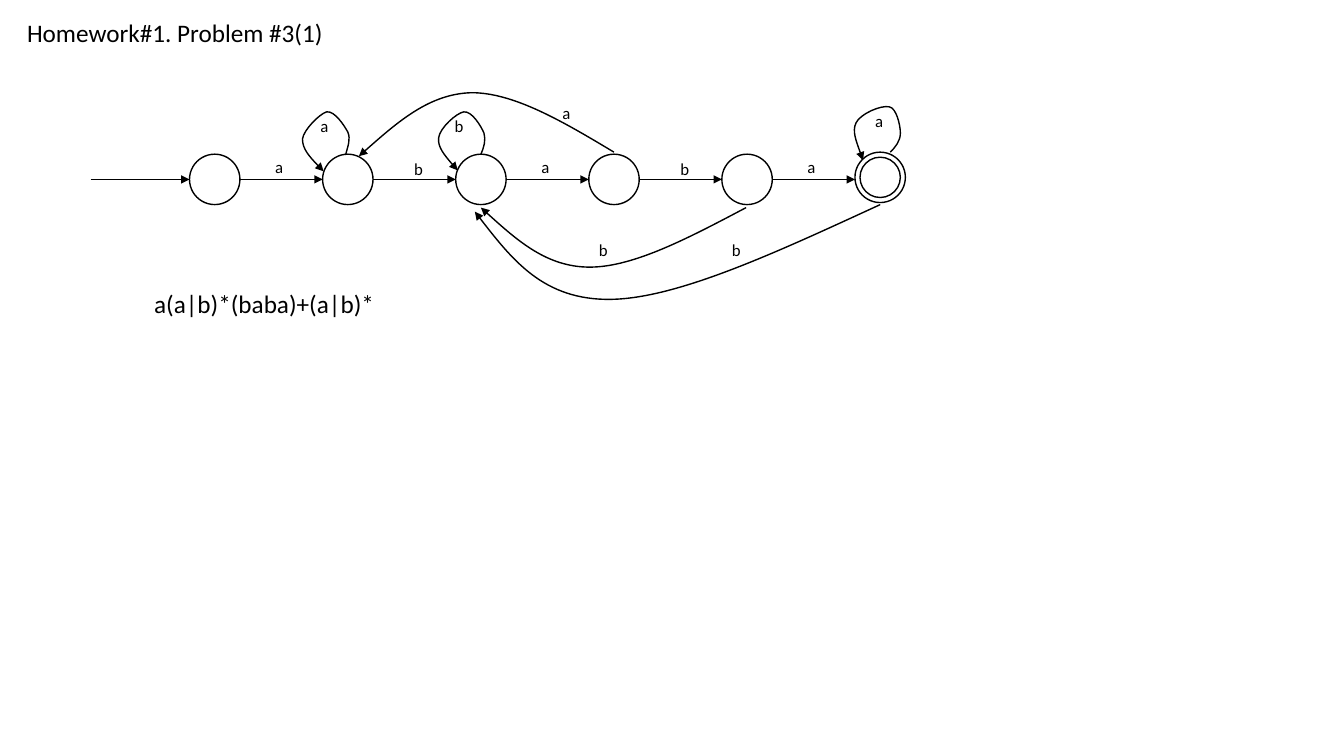
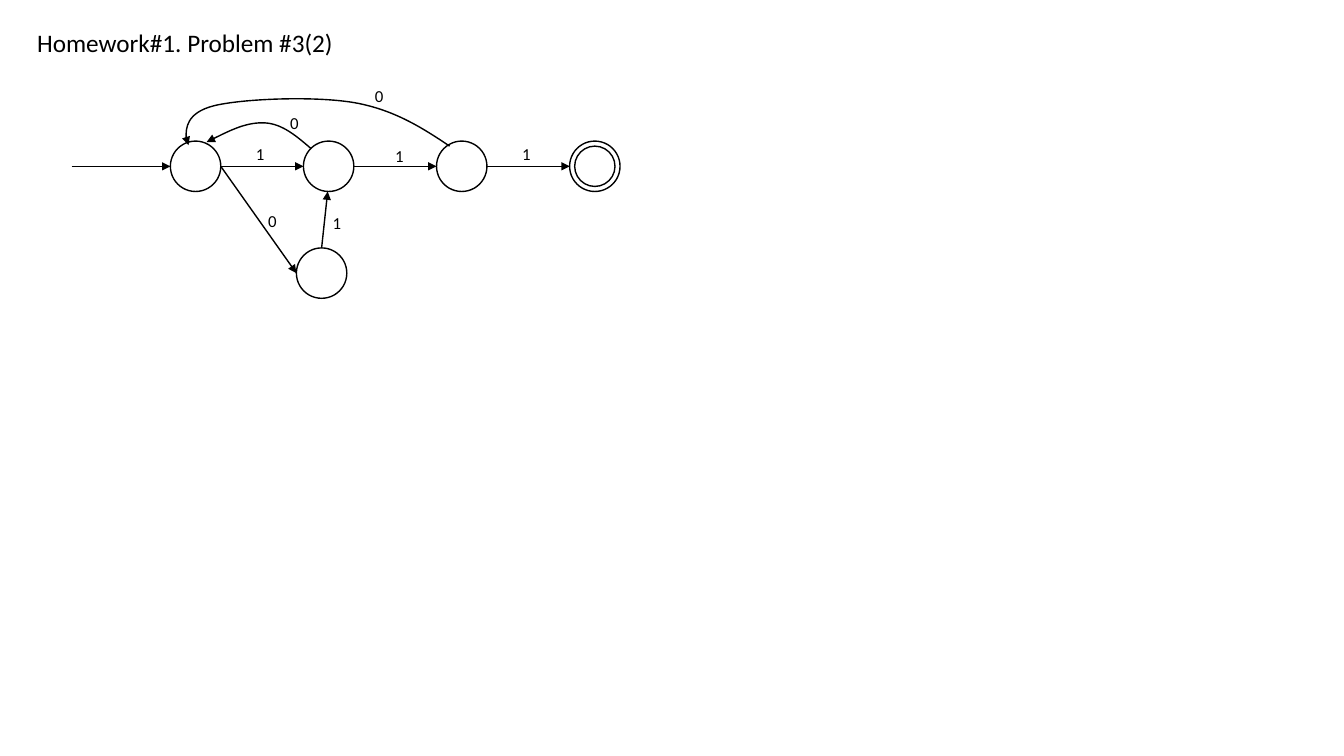
from dataclasses import dataclass

from lxml import etree
from pptx import Presentation
from pptx.dml.color import RGBColor
from pptx.enum.shapes import MSO_CONNECTOR, MSO_SHAPE
from pptx.enum.text import MSO_AUTO_SIZE
from pptx.oxml.ns import qn
from pptx.shapes.connector import Connector
from pptx.shapes.autoshape import Shape
from pptx.shapes.shapetree import GroupShapes
from pptx.slide import Slide
from pptx.util import Inches, Pt

STRAIGHT = MSO_CONNECTOR.STRAIGHT
CIRCLE = MSO_SHAPE.FLOWCHART_CONNECTOR
FIT_SHAPE = MSO_AUTO_SIZE.SHAPE_TO_FIT_TEXT

COLORS = {"ink": "000000"}
FONT = "Calibri"
HEADING_SIZE, LABEL_SIZE = 18, 12
HEADING_HEIGHT, LABEL_HEIGHT, LABEL_WIDTH = 0.4, 0.3, 0.29
STATE_SIZE, STATE_PITCH, RING_INSET = 0.5, 1.32, 0.05
START_LENGTH = 0.98
# Label offsets from the left end of an arrow, used in turn along a chain
LABEL_OFFSETS = ((0.25, -0.27), (0.31, -0.25))

Point = tuple[float, float]


@dataclass(frozen=True)
class Text:
    text: str
    left: float
    top: float
    width: float = LABEL_WIDTH
    height: float = LABEL_HEIGHT
    size: int = LABEL_SIZE


@dataclass(frozen=True)
class Chain:
    left: float
    top: float
    symbols: str
    final_top: float


@dataclass(frozen=True)
class Automaton:
    headings: list[Text]
    chain: Chain
    labels: list[Text]
    curves: list[list[Point]]  # start, then two controls and an end per piece
    extra_states: list[Point]
    extra_arrows: list[tuple[Point, Point]]


def heading(text: str, left: float, top: float, width: float) -> Text:
    return Text(text, left, top, width, HEADING_HEIGHT, HEADING_SIZE)


def style_line(shape: Shape | Connector, arrow: bool = False) -> None:
    shape.line.color.rgb = RGBColor.from_string(COLORS["ink"])
    shape.line.width = Pt(1)
    if arrow:
        outline = shape.line._get_or_add_ln()
        etree.SubElement(outline, qn("a:tailEnd"), type="triangle")


def add_text(slide: Slide, text: str, *, left: float, top: float, width: float,
             height: float, size: int) -> None:
    box = slide.shapes.add_textbox(Inches(left), Inches(top), Inches(width), Inches(height))
    frame = box.text_frame
    frame.word_wrap = False
    frame.auto_size = FIT_SHAPE
    run = frame.paragraphs[0].add_run()
    run.text = text
    run.font.name = FONT
    run.font.size = Pt(size)
    run.font.color.rgb = RGBColor.from_string(COLORS["ink"])


def add_label(slide: Slide, label: Text) -> None:
    add_text(slide, label.text, left=label.left, top=label.top, width=label.width,
             height=label.height, size=label.size)


def add_state(shapes: GroupShapes, left: float, top: float, size: float = STATE_SIZE) -> None:
    state = shapes.add_shape(CIRCLE, Inches(left), Inches(top), Inches(size), Inches(size))
    state.shadow.inherit = False
    state.fill.background()
    style_line(state)


def add_final_state(slide: Slide, left: float, top: float) -> None:
    group = slide.shapes.add_group_shape()
    add_state(group.shapes, left, top)
    add_state(group.shapes, left + RING_INSET, top + RING_INSET, STATE_SIZE - 2 * RING_INSET)


def add_arrow(slide: Slide, start: Point, end: Point) -> None:
    arrow = slide.shapes.add_connector(STRAIGHT, *map(Inches, start + end))
    style_line(arrow, arrow=True)
    etree.SubElement(arrow._element.spPr, qn("a:effectLst"))


def add_curve(slide: Slide, points: list[Point]) -> None:
    start, *others = [(Inches(x), Inches(y)) for x, y in points]
    builder = slide.shapes.build_freeform(*start)
    builder.add_line_segments(others, close=False)
    curve = builder.convert_to_shape()
    # Each three straight segments become one Bezier segment
    segments = list(curve._element.iter(qn("a:lnTo")))
    for first in range(0, len(segments), 3):
        bezier = etree.Element(qn("a:cubicBezTo"))
        segments[first].addprevious(bezier)
        for segment in segments[first:first + 3]:
            bezier.append(segment[0])
            segment.getparent().remove(segment)
    curve.shadow.inherit = False
    curve.fill.background()
    style_line(curve, arrow=True)


def add_chain(slide: Slide, chain: Chain) -> None:
    middle = chain.top + STATE_SIZE / 2
    add_arrow(slide, (chain.left - START_LENGTH, middle), (chain.left, middle))
    for index, symbol in enumerate(chain.symbols):
        left = chain.left + index * STATE_PITCH
        right = left + STATE_SIZE
        add_state(slide.shapes, left, chain.top)
        add_arrow(slide, (right, middle), (left + STATE_PITCH, middle))
        across, down = LABEL_OFFSETS[index % 2]
        add_label(slide, Text(symbol, right + across, middle + down))
    add_final_state(slide, chain.left + len(chain.symbols) * STATE_PITCH, chain.final_top)


def add_automaton(presentation: Presentation, automaton: Automaton) -> None:
    slide = presentation.slides.add_slide(presentation.slide_layouts[6])
    add_chain(slide, automaton.chain)
    for left, top in automaton.extra_states:
        add_state(slide.shapes, left, top)
    for start, end in automaton.extra_arrows:
        add_arrow(slide, start, end)
    for points in automaton.curves:
        add_curve(slide, points)
    for label in automaton.headings + automaton.labels:
        add_label(slide, label)


AUTOMATA = [
    Automaton(
        headings=[heading("Homework#1. Problem #3(1)", 0.17, 0.12, 3.17),
                  heading("a(a|b)*(baba)+(a|b)*", 1.43, 2.81, 2.41)],
        chain=Chain(left=1.88, top=1.53, symbols="ababa", final_top=1.51),
        labels=[Text("a", 3.08, 1.1), Text("b", 4.41, 1.1), Text("a", 8.58, 1.05),
                Text("a", 5.48, 0.97), Text("b", 5.84, 2.33), Text("b", 7.16, 2.33)],
        curves=[
            # Loops on one state
            [(3.43, 1.53), (3.45, 1.45), (3.48, 1.38), (3.45, 1.31), (3.41, 1.24),
             (3.32, 1.1), (3.24, 1.11), (3.17, 1.13), (3.01, 1.29), (3, 1.38),
             (3, 1.48), (3.1, 1.59), (3.21, 1.7)],
            [(4.77, 1.53), (4.8, 1.46), (4.82, 1.39), (4.8, 1.32), (4.77, 1.25),
             (4.68, 1.1), (4.6, 1.11), (4.53, 1.12), (4.36, 1.27), (4.35, 1.37),
             (4.34, 1.46), (4.44, 1.58), (4.54, 1.69)],
            [(8.83, 1.51), (8.88, 1.46), (8.93, 1.4), (8.93, 1.32), (8.93, 1.24),
             (8.89, 1.07), (8.82, 1.06), (8.74, 1.04), (8.53, 1.13), (8.49, 1.22),
             (8.45, 1.3), (8.51, 1.45), (8.56, 1.59)],
            # Returns to earlier states
            [(6.09, 1.51), (5.59, 1.21), (5.1, 0.92), (4.68, 0.92), (4.26, 0.93),
             (3.91, 1.24), (3.56, 1.55)],
            [(7.4, 2.06), (6.85, 2.35), (6.29, 2.65), (5.85, 2.65), (5.42, 2.65),
             (5.09, 2.35), (4.77, 2.06)],
            [(8.73, 2.03), (7.73, 2.49), (6.73, 2.96), (6.06, 2.97), (5.39, 2.98),
             (5.05, 2.54), (4.71, 2.1)],
        ],
        extra_states=[],
        extra_arrows=[],
    ),
    Automaton(
        headings=[heading("Homework#1. Problem #3(2)", 0.27, 0.22, 3.17)],
        chain=Chain(left=1.69, top=1.4, symbols="111", final_top=1.4),
        labels=[Text("0", 2.56, 2.04), Text("1", 3.2, 2.06),
                Text("0", 3.62, 0.8), Text("0", 2.78, 1.07)],
        curves=[
            [(3.08, 1.47), (2.94, 1.35), (2.8, 1.23), (2.63, 1.22), (2.45, 1.21),
             (2.25, 1.31), (2.05, 1.41)],
            [(4.46, 1.45), (4.19, 1.27), (3.91, 1.09), (3.52, 1.02), (3.12, 0.95),
             (2.4, 0.98), (2.12, 1.05), (1.85, 1.12), (1.81, 1.39), (1.87, 1.44)],
        ],
        extra_states=[(2.94, 2.46)],
        extra_arrows=[((2.19, 1.65), (2.94, 2.71)), ((3.19, 2.46), (3.25, 1.9))],
    ),
]

presentation = Presentation()
presentation.slide_width = Inches(13.33)
presentation.slide_height = Inches(7.5)
for automaton in AUTOMATA:
    add_automaton(presentation, automaton)
presentation.save("out.pptx")
